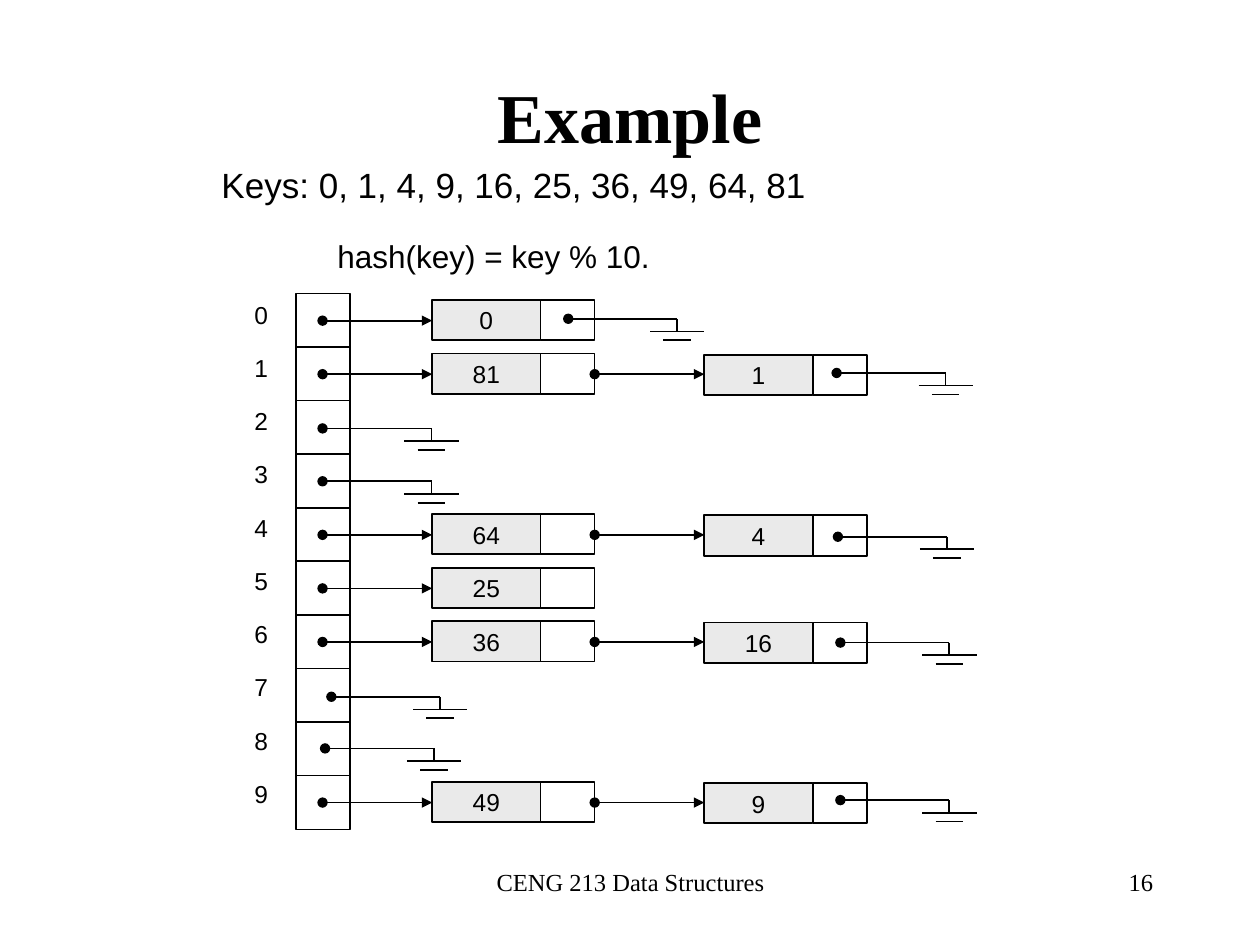
from lxml import etree
from pptx import Presentation
from pptx import util as u
from pptx.dml.color import RGBColor
from pptx.enum import shapes, text
from pptx.oxml.ns import qn

HEX = {"ink": "000000", "key": "EAEAEA", "cell": "FFFFFF"}
SANS, SERIF = "Arial", "Times New Roman"
LEFT, MID, RIGHT = text.PP_ALIGN.LEFT, text.PP_ALIGN.CENTER, text.PP_ALIGN.RIGHT

TITLE = "Example"
# text, left, top, width, height, format
NOTES = [
    ("Keys: 0, 1, 4, 9, 16, 25, 36, 49, 64, 81", 1.66, 1.25, 6.34, 0.44,
     dict(size=20)),
    ("hash(key) = key % 10.", 2.58, 1.83, 2.75, 0.4, dict(size=18, wrap=False)),
    ("CENG 213 Data Structures", 3.42, 6.83, 3.17, 0.5,
     dict(font=SERIF, align=MID)),
    ("16", 7.17, 6.83, 2.08, 0.5, dict(font=SERIF, align=RIGHT)),
]
# keys chained in each bucket, start of the line to ground (or None)
ROWS = [
    (["0"], (4.51, 2.53)),
    (["81", "1"], (6.64, 2.96)),
    ([], (2.56, 3.4)),
    ([], (2.56, 3.82)),
    (["64", "4"], (6.65, 4.26)),
    (["25"], None),
    (["36", "16"], (6.67, 5.1)),
    ([], (2.63, 5.53)),
    ([], (2.58, 5.94)),
    (["49", "9"], (6.67, 6.35)),
]
TOP, PITCH, SIDE = 2.33, 0.425, 0.43
CELL_X, NODE_X, STEP = 2.35, 3.43, 2.16
KEY_W, NODE_H, REACH = 0.86, 0.32, 0.865

deck = Presentation()
deck.slide_width, deck.slide_height = u.Inches(10), u.Inches(7.5)
slide = deck.slides.add_slide(deck.slide_layouts[5])


def color(name):
    """Return the named colour."""
    return RGBColor.from_string(HEX[name])


def write(shape, words, size=14, font=SANS, align=LEFT, bold=False,
          wrap=True, anchor=text.MSO_ANCHOR.TOP):
    """Put formatted words in a shape."""
    frame = shape.text_frame
    frame.word_wrap = wrap
    frame.vertical_anchor = anchor
    para = frame.paragraphs[0]
    para.alignment = align
    run = para.add_run()
    run.text = words
    run.font.size, run.font.name, run.font.bold = u.Pt(size), font, bold
    run.font.color.rgb = color("ink")


def label(words, x, y, w, h, **form):
    """Add a text box."""
    box = slide.shapes.add_textbox(*map(u.Inches, (x, y, w, h)))
    write(box, words, **form)


def block(x, y, w, h, fill, words=""):
    """Add an outlined rectangle, with a key if given."""
    box = slide.shapes.add_shape(shapes.MSO_SHAPE.RECTANGLE,
                                 *map(u.Inches, (x, y, w, h)))
    box.shadow.inherit = False
    box.fill.solid()
    box.fill.fore_color.rgb = color(fill)
    box.line.color.rgb = color("ink")
    box.line.width = u.Pt(1)
    if words:
        write(box, words, align=MID, wrap=False, anchor=text.MSO_ANCHOR.MIDDLE)


def line(x1, y1, x2, y2, head=None, tail=None):
    """Add a straight line with optional ends."""
    link = slide.shapes.add_connector(shapes.MSO_CONNECTOR.STRAIGHT,
                                      *map(u.Inches, (x1, y1, x2, y2)))
    link.line.color.rgb = color("ink")
    link.line.width = u.Pt(1)
    pen = link.line._get_or_add_ln()
    for tag, kind in (("a:headEnd", head), ("a:tailEnd", tail)):
        if kind:
            etree.SubElement(pen, qn(tag), type=kind)
    etree.SubElement(link._element.spPr, qn("a:effectLst"))


def ground(x, y):
    """Draw a null pointer that ends in a ground sign."""
    end = x + REACH
    line(x, y, end, y, head="oval")
    line(end, y, end, y + 0.1)
    for half, drop in ((0.215, 0.1), (0.11, 0.17)):
        line(end - half, y + drop, end + half, y + drop)


def bucket(num, keys, null):
    """Draw one table row with its chain."""
    y = TOP + num * PITCH
    label(str(num), 1.92, TOP + num * 0.4225, 0.31, 0.34, wrap=False)
    block(CELL_X, y, SIDE, SIDE, "cell")
    for pos, key in enumerate(keys):
        x, top = NODE_X + pos * STEP, y + 0.05 + pos * 0.01
        block(x, top, KEY_W, NODE_H, "key", key)
        block(x + KEY_W, top, SIDE, NODE_H, "cell")
    for pos in range(len(keys)):
        x = NODE_X + pos * STEP
        line(x - 0.87, y + 0.215, x, y + 0.215, head="oval", tail="triangle")
    if null:
        ground(*null)


title = slide.shapes.title
title.left, title.top = u.Inches(0.75), u.Inches(0.5)
title.width, title.height = u.Inches(8.5), u.Inches(0.83)
write(title, TITLE, size=40, font=SERIF, align=MID, bold=True,
      anchor=text.MSO_ANCHOR.MIDDLE)
for words, x, y, w, h, form in NOTES:
    label(words, x, y, w, h, **form)
for num, (keys, null) in enumerate(ROWS):
    bucket(num, keys, null)

deck.save("out.pptx")
